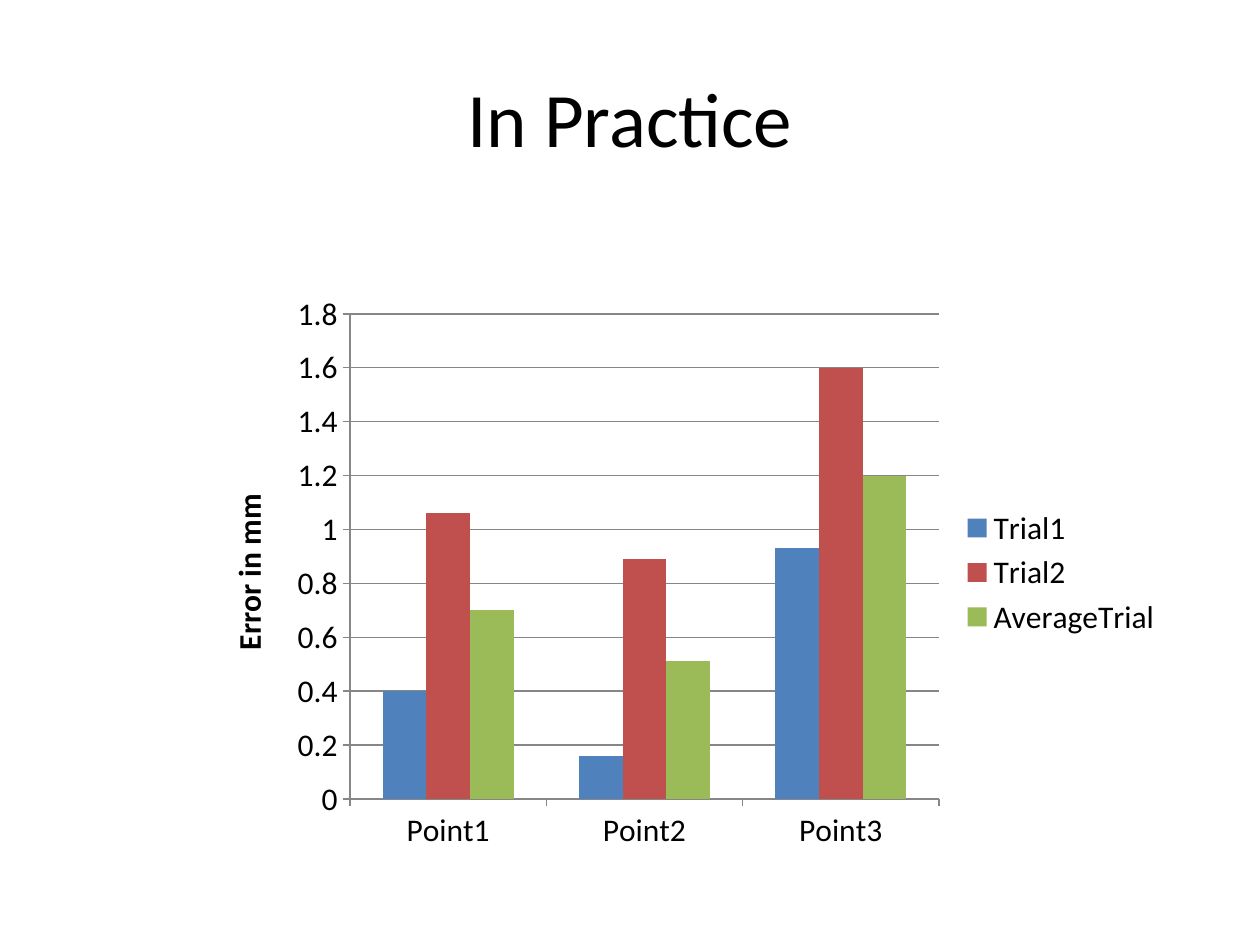
from lxml import etree
from pptx import Presentation
from pptx import util as u
from pptx.chart.data import CategoryChartData
from pptx.dml.color import RGBColor
from pptx.enum import chart as ch, text
from pptx.oxml.ns import qn

BLACK = RGBColor(0x00, 0x00, 0x00)
GRAY = RGBColor(0x86, 0x86, 0x86)
BLUE = RGBColor(0x4F, 0x81, 0xBD)
RED = RGBColor(0xC0, 0x50, 0x4D)
GREEN = RGBColor(0x9B, 0xBB, 0x59)


class Deck:
    """Slide builder with one font and a pixel scale."""

    font = "Calibri"
    px = u.Inches(1) / 126

    def __init__(self, prs):
        self.s = prs.slides.add_slide(prs.slide_layouts[6])

    def box(self, *lengths):
        return [u.Emu(round(n * self.px)) for n in lengths]

    def style(self, font, size, bold=False):
        font.name, font.size, font.bold = self.font, u.Pt(size), bold
        font.color.rgb = BLACK

    def title(self, words, at, size):
        tf = self.s.shapes.add_textbox(*self.box(*at)).text_frame
        tf.word_wrap = True
        tf.vertical_anchor = text.MSO_ANCHOR.MIDDLE
        p = tf.paragraphs[0]
        p.text = words
        p.alignment = text.PP_ALIGN.CENTER
        self.style(p.runs[0].font, size)

    def columns(self, cats, series, axis_title, at, plot_at, size):
        data = CategoryChartData()
        data.categories = cats
        for name, vals, _ in series:
            data.add_series(name, vals)
        chart = self.s.shapes.add_chart(
            ch.XL_CHART_TYPE.COLUMN_CLUSTERED, *self.box(*at), data).chart
        self.style(chart.font, size)
        chart.has_title = False
        chart.has_legend = True
        chart.legend.position = ch.XL_LEGEND_POSITION.RIGHT
        chart.legend.include_in_layout = False
        plot = chart.plots[0]
        plot.gap_width, plot.overlap = 150, 0
        plot.vary_by_categories = False
        for ser, (_, _, color) in zip(plot.series, series):
            ser.format.fill.solid()
            ser.format.fill.fore_color.rgb = color
        cat, val = chart.category_axis, chart.value_axis
        val.minimum_scale, val.maximum_scale, val.major_unit = 0, 1.8, 0.2
        val.has_major_gridlines = True
        for axis in (cat, val):
            axis.major_tick_mark = ch.XL_TICK_MARK.OUTSIDE
        for part in (cat, val, val.major_gridlines):
            part.format.line.color.rgb = GRAY
            part.format.line.width = u.Pt(0.75)
        tf = val.axis_title.text_frame
        tf.text = axis_title
        self.style(tf.paragraphs[0].runs[0].font, size, True)
        self.place_plot(chart, at, plot_at)

    def place_plot(self, chart, at, plot_at):
        area = chart.element.find(".//" + qn("c:plotArea"))
        for old in area.findall(qn("c:layout")):
            area.remove(old)
        layout = etree.Element(qn("c:layout"))
        manual = etree.SubElement(layout, qn("c:manualLayout"))
        left, top, width, height = plot_at
        parts = [("layoutTarget", "inner"), ("xMode", "edge"), ("yMode", "edge"),
                 ("x", (left - at[0]) / at[2]), ("y", (top - at[1]) / at[3]),
                 ("w", width / at[2]), ("h", height / at[3])]
        for tag, value in parts:
            etree.SubElement(manual, qn("c:" + tag)).set("val", str(value))
        area.insert(0, layout)


prs = Presentation()
prs.slide_width, prs.slide_height = u.Inches(10), u.Inches(7.5)
deck = Deck(prs)
deck.title("In Practice", (63, 38, 1134, 158), 44)
deck.columns(
    ["Point1", "Point2", "Point3"],
    [("Trial1", (0.4, 0.16, 0.93), BLUE),
     ("Trial2", (1.06, 0.89, 1.6), RED),
     ("AverageTrial", (0.7, 0.51, 1.2), GREEN)],
    "Error in mm", (199, 284, 976, 577), (350, 314, 589, 485), 18)
prs.save("out.pptx")
